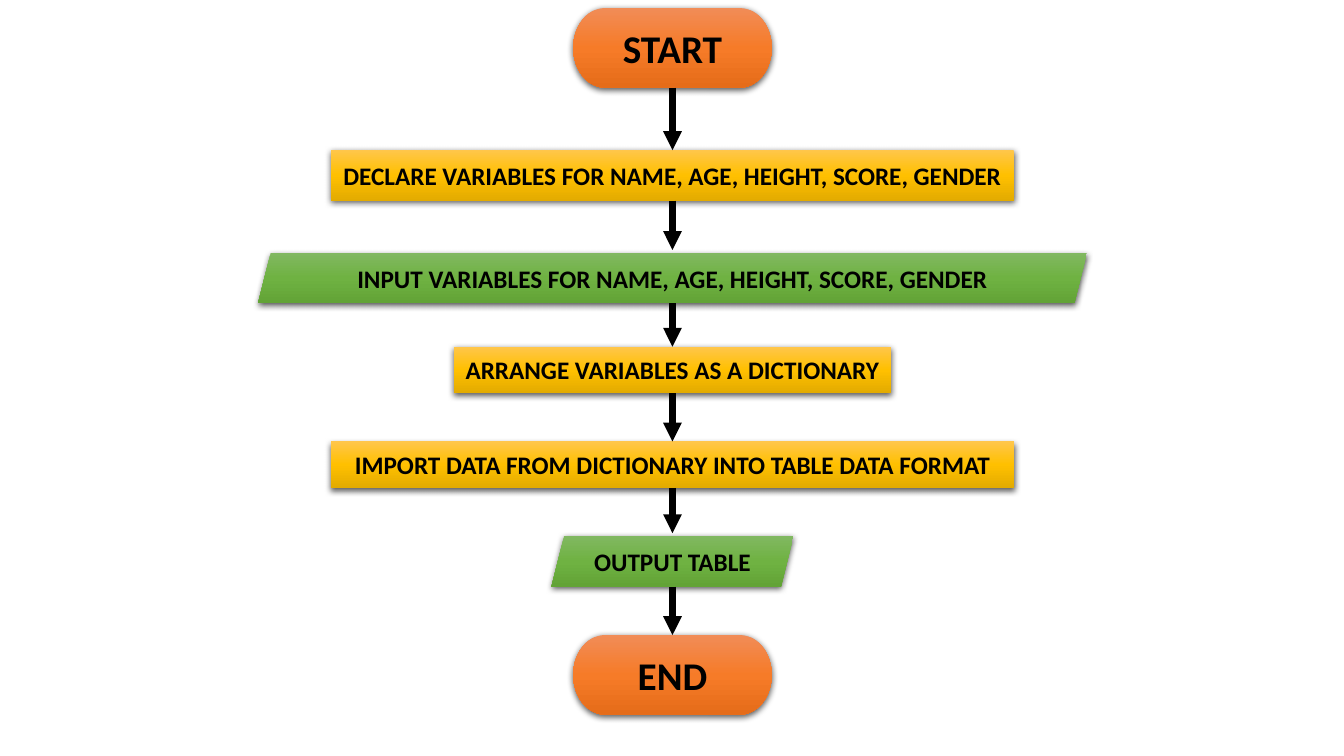
from pptx import Presentation
from pptx.dml.color import RGBColor
from pptx.enum.shapes import MSO_CONNECTOR, MSO_SHAPE
from pptx.enum.text import MSO_ANCHOR, PP_ALIGN
from pptx.oxml import parse_xml
from pptx.oxml.ns import nsdecls
from pptx.util import Inches, Pt

STRAIGHT = MSO_CONNECTOR.STRAIGHT
PILL = MSO_SHAPE.FLOWCHART_TERMINATOR
RECT = MSO_SHAPE.RECTANGLE
SLANT = MSO_SHAPE.PARALLELOGRAM
MIDDLE = MSO_ANCHOR.MIDDLE
CENTER = PP_ALIGN.CENTER
TOP, BOTTOM = 0, 2

FONT = "Calibri"
COLORS = {
    "ink": "000000",
    PILL: ("F18C57", "F67B28", "E56C19"),
    RECT: ("FFC64B", "FFC000", "E3AB00"),
    SLANT: ("81B861", "6FB242", "62A336"),
}
SIZES = {PILL: 28, RECT: 18, SLANT: 18}

# kind, text, top, width, height
STEPS = [
    (PILL, "START", 0.08, 1.97, 0.79),
    (RECT, "DECLARE VARIABLES FOR NAME, AGE, HEIGHT, SCORE, GENDER", 1.49, 6.77, 0.5),
    (SLANT, "INPUT VARIABLES FOR NAME, AGE, HEIGHT, SCORE, GENDER", 2.51, 8.22, 0.5),
    (RECT, "ARRANGE VARIABLES AS A DICTIONARY", 3.44, 4.34, 0.46),
    (RECT, "IMPORT DATA FROM DICTIONARY INTO TABLE DATA FORMAT", 4.38, 6.78, 0.46),
    (SLANT, "OUTPUT TABLE", 5.32, 2.4, 0.5),
    (PILL, "END", 6.3, 1.97, 0.79),
]


def shade(shape, hues):
    """Give the shape a top-to-bottom gradient and a soft shadow."""
    stops = "".join(
        f'<a:gs pos="{i * 50000}"><a:srgbClr val="{hue}"/></a:gs>'
        for i, hue in enumerate(hues)
    )
    shape.line.fill.background()
    props = shape._element.spPr
    props.insert(2, parse_xml(
        f'<a:gradFill {nsdecls("a")} rotWithShape="1"><a:gsLst>{stops}</a:gsLst>'
        '<a:lin ang="5400000" scaled="0"/></a:gradFill>'))
    props.append(parse_xml(
        f'<a:effectLst {nsdecls("a")}><a:outerShdw blurRad="{Pt(4.5)}" '
        f'dist="{Pt(1.5)}" dir="5400000" algn="ctr" rotWithShape="0">'
        f'<a:srgbClr val="{COLORS["ink"]}"><a:alpha val="63000"/></a:srgbClr>'
        '</a:outerShdw></a:effectLst>'))


def add_step(slide, mid, kind, text, top, width, height):
    shape = slide.shapes.add_shape(
        kind, Inches(mid - width / 2), Inches(top), Inches(width), Inches(height))
    shade(shape, COLORS[kind])
    frame = shape.text_frame
    frame.word_wrap = False
    frame.vertical_anchor = MIDDLE
    para = frame.paragraphs[0]
    para.alignment = CENTER
    run = para.add_run()
    run.text = text
    run.font.name = FONT
    run.font.size = Pt(SIZES[kind])
    run.font.bold = True
    run.font.color.rgb = RGBColor.from_string(COLORS["ink"])
    return shape


def add_arrow(slide, mid, start, end):
    """Link two steps, gluing each end that meets a four-site shape."""
    gap = Inches(0.03)
    x = Inches(mid)
    arrow = slide.shapes.add_connector(
        STRAIGHT, x, start.top + start.height, x, end.top - gap)
    if start.auto_shape_type != SLANT:
        arrow.begin_connect(start, BOTTOM)
    if end.auto_shape_type != SLANT:
        arrow.end_connect(end, TOP)
    arrow.line.color.rgb = RGBColor.from_string(COLORS["ink"])
    arrow.line.width = Pt(4.5)
    arrow.line._get_or_add_ln().append(
        parse_xml(f'<a:tailEnd {nsdecls("a")} type="triangle"/>'))
    arrow._element.spPr.append(parse_xml(f'<a:effectLst {nsdecls("a")}/>'))


def add_flow(slide, mid, steps):
    shapes = [add_step(slide, mid, *step) for step in steps]
    for start, end in zip(shapes, shapes[1:]):
        add_arrow(slide, mid, start, end)


def main():
    deck = Presentation()
    deck.slide_width = Inches(13.33)
    deck.slide_height = Inches(7.5)
    slide = deck.slides.add_slide(deck.slide_layouts[6])
    add_flow(slide, 6.67, STEPS)
    deck.save("out.pptx")


if __name__ == "__main__":
    main()
